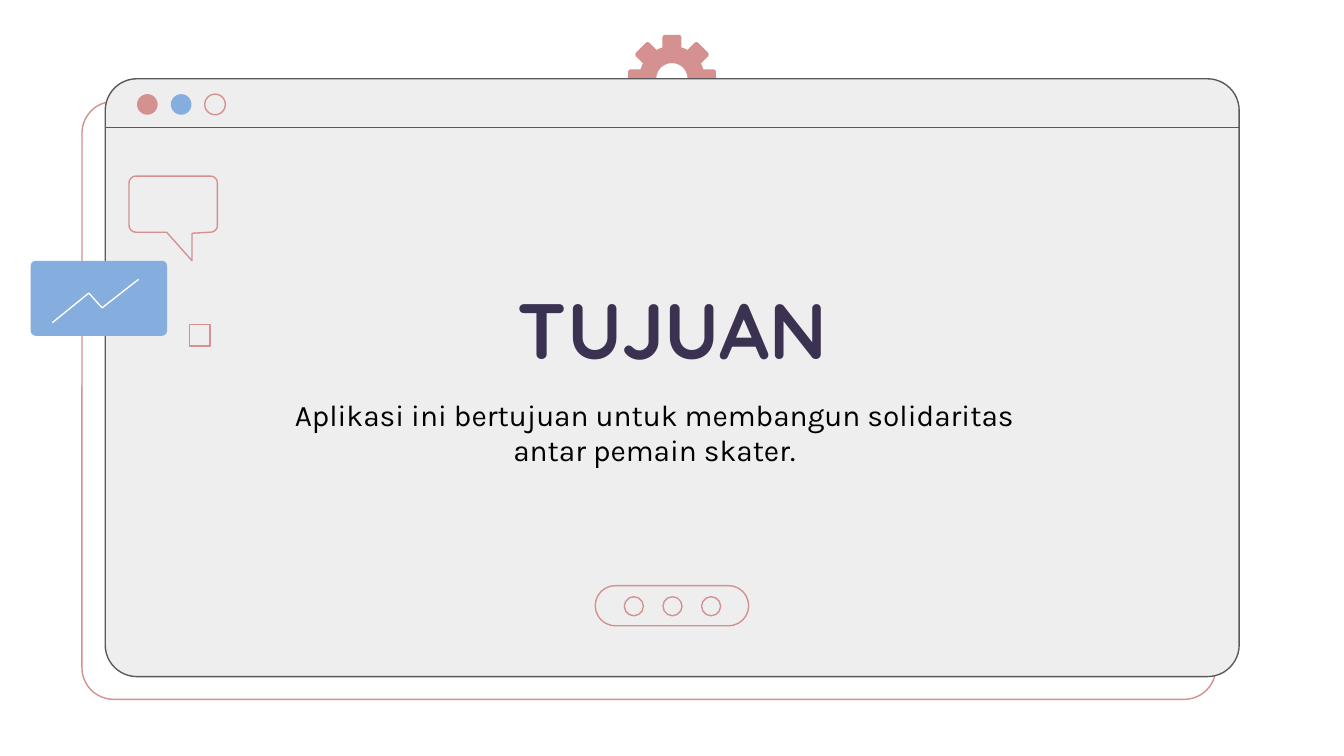
"""Builds the TUJUAN slide: a browser window with a title, a subtitle and interface ornaments."""
from math import cos, radians, sin

from lxml.etree import SubElement
from pptx import Presentation
from pptx.dml.color import RGBColor
from pptx.enum.shapes import MSO_CONNECTOR, MSO_SHAPE
from pptx.enum.text import MSO_ANCHOR, MSO_AUTO_SIZE, PP_ALIGN
from pptx.oxml.ns import qn
from pptx.util import Cm, Pt

COLORS = {
    "rose": "D59090",
    "blue": "85ADDE",
    "panel": "EEEEEE",
    "outline": "595959",
    "title": "3B3252",
    "text": "000000",
    "white": "FFFFFF",
}


def style_shape(shape, fill=None, line=None):
    shape.shadow.inherit = False
    if fill:
        shape.fill.solid()
        shape.fill.fore_color.rgb = RGBColor.from_string(COLORS[fill])
    else:
        shape.fill.background()
    if line:
        shape.line.color.rgb = RGBColor.from_string(COLORS[line])
        shape.line.width = Pt(0.75)
    else:
        shape.line.fill.background()


def add_preset(preset, left, top, width, height, fill=None, line=None, adjustment=None):
    shape = slide.shapes.add_shape(preset, Cm(left), Cm(top), Cm(width), Cm(height))
    style_shape(shape, fill, line)
    if adjustment is not None:
        shape.adjustments[0] = adjustment
    return shape


presentation = Presentation()
presentation.slide_width = Cm(25.4)
presentation.slide_height = Cm(14.29)
slide = presentation.slides.add_slide(presentation.slide_layouts[5])

add_preset(MSO_SHAPE.ROUNDED_RECTANGLE, 1.55, 1.92, 21.43, 11.3, line="rose", adjustment=0.053)

gear_x, gear_y, gear_size = 12.7, 1.49, 1.24
tooth_width, tooth_height, tooth_distance = 0.36, 0.38, 0.64
add_preset(MSO_SHAPE.DONUT, gear_x - gear_size / 2, gear_y - gear_size / 2,
           gear_size, gear_size, fill="rose", adjustment=0.26)
for angle in range(-90, 91, 45):
    tooth_x = gear_x + tooth_distance * sin(radians(angle))
    tooth_y = gear_y - tooth_distance * cos(radians(angle))
    tooth = add_preset(MSO_SHAPE.ROUND_2_SAME_RECTANGLE, tooth_x - tooth_width / 2,
                       tooth_y - tooth_height / 2, tooth_width, tooth_height,
                       fill="rose", adjustment=0.14)
    tooth.rotation = angle

add_preset(MSO_SHAPE.ROUNDED_RECTANGLE, 1.99, 1.49, 21.43, 11.3,
           fill="panel", line="outline", adjustment=0.053)
for index, (fill, line) in enumerate([("rose", None), ("blue", None), (None, "rose")]):
    add_preset(MSO_SHAPE.OVAL, 2.59 + 0.64 * index, 1.78, 0.39, 0.39, fill, line)

divider = slide.shapes.add_connector(
    MSO_CONNECTOR.STRAIGHT, Cm(1.99), Cm(2.41), Cm(23.42), Cm(2.41))
divider.line.color.rgb = RGBColor.from_string(COLORS["outline"])
divider.line.width = Pt(0.75)
SubElement(divider.element.spPr, qn("a:effectLst"))

title = slide.shapes.title
title.left, title.top, title.width, title.height = Cm(2.84), Cm(5.31), Cm(19.74), Cm(1.6)
title.element.getparent().append(title.element)
subtitle = slide.shapes.add_textbox(Cm(5.03), Cm(7.49), Cm(14.68), Cm(1.6))
for shape, text, font_name, size, bold, color in [
    (title, "TUJUAN", "Quicksand", 42, True, "title"),
    (subtitle, "Aplikasi ini bertujuan untuk membangun solidaritas antar pemain skater.",
     "Karla", 16, False, "text"),
]:
    frame = shape.text_frame
    frame.text = text
    frame.word_wrap = True
    frame.auto_size = MSO_AUTO_SIZE.NONE
    frame.vertical_anchor = MSO_ANCHOR.TOP
    frame.margin_left = frame.margin_right = frame.margin_top = frame.margin_bottom = 0
    paragraph = frame.paragraphs[0]
    paragraph.alignment = PP_ALIGN.CENTER
    font = paragraph.runs[0].font
    font.name = font_name
    font.size = Pt(size)
    font.bold = bold
    font.color.rgb = RGBColor.from_string(COLORS[color])

add_preset(MSO_SHAPE.ROUNDED_RECTANGLE, 11.25, 11.07, 2.9, 0.76, line="rose", adjustment=0.5)
for index in range(3):
    add_preset(MSO_SHAPE.OVAL, 11.8 + 0.73 * index, 11.28, 0.36, 0.36, line="rose")

add_preset(MSO_SHAPE.ROUNDED_RECTANGLE, 0.58, 4.93, 2.58, 1.42, fill="blue", adjustment=0.07)

trend_points = [(0.99, 6.1), (1.68, 5.54), (1.93, 5.82), (2.62, 5.28)]

bubble_left, bubble_top, bubble_right, bubble_bottom, radius = 2.44, 3.33, 4.11, 4.39, 0.13
bubble_points = [(3.15, bubble_bottom)]
for center_x, center_y, start_angle in [
    (bubble_left + radius, bubble_bottom - radius, 90),
    (bubble_left + radius, bubble_top + radius, 180),
    (bubble_right - radius, bubble_top + radius, 270),
    (bubble_right - radius, bubble_bottom - radius, 0),
]:
    for angle in range(start_angle, start_angle + 91, 15):
        bubble_points.append((center_x + radius * cos(radians(angle)),
                              center_y + radius * sin(radians(angle))))
bubble_points += [(3.63, 4.41), (3.63, 4.93)]

for points, closed, line in [(trend_points, False, "white"), (bubble_points, True, "rose")]:
    corners = [(Cm(x), Cm(y)) for x, y in points]
    builder = slide.shapes.build_freeform(*corners[0])
    builder.add_line_segments(corners[1:], close=closed)
    style_shape(builder.convert_to_shape(), line=line)

add_preset(MSO_SHAPE.RECTANGLE, 3.58, 6.14, 0.39, 0.4, line="rose")

presentation.save("out.pptx")
